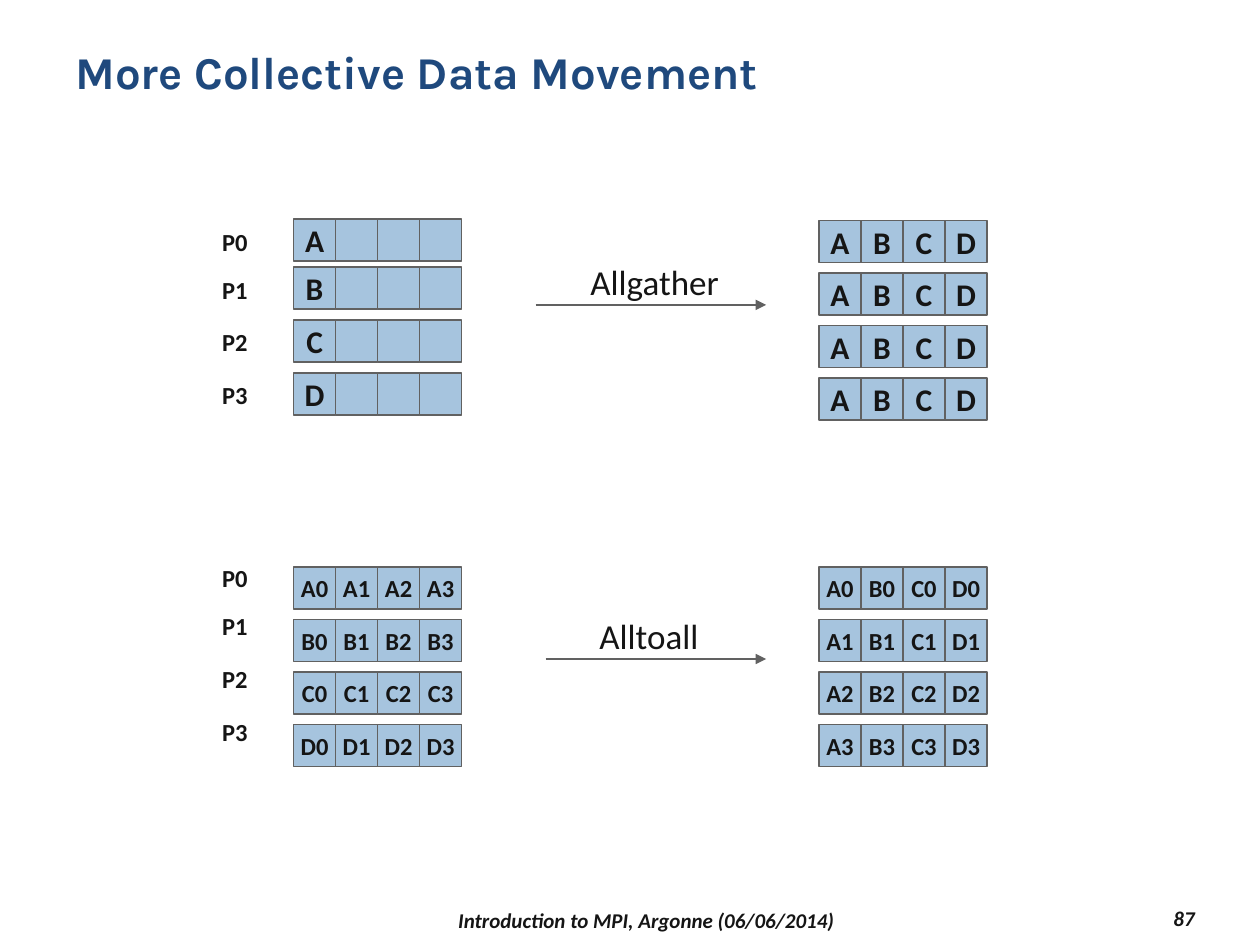
import pptx
import pptx.util
import pptx.dml.color
import pptx.enum.shapes
import pptx.enum.text
import pptx.oxml.ns
import lxml.etree

Inches = pptx.util.Inches
Pt = pptx.util.Pt
RGBColor = pptx.dml.color.RGBColor
ALIGN = pptx.enum.text.PP_ALIGN
ANCHOR = pptx.enum.text.MSO_ANCHOR
AUTO = pptx.enum.text.MSO_AUTO_SIZE

TITLE_BLUE = RGBColor(0x1F, 0x49, 0x7D)
INK = RGBColor(0x15, 0x15, 0x15)
CELL_BLUE = RGBColor(0xA6, 0xC4, 0xDE)
GREY = RGBColor(0x61, 0x61, 0x61)

CELL = 1 / 3
PITCH = 5 / 12
LEFT_X, RIGHT_X, LABEL_X = 2.33, 6.5, 1.66
EVEN_STEPS = [PITCH * i for i in range(4)]
PROCESS_STEPS = [0, 0.38, 0.8, 1.22]


class SlideBuilder:
    body = {"name": "Calibri", "size": Pt(14), "bold": True}

    def __init__(self, prs):
        self.s = prs.slides.add_slide(prs.slide_layouts[6])

    def set_text(self, sp, text, color=INK, align=ALIGN.CENTER,
                 anchor=ANCHOR.TOP, wrap=False, auto=AUTO.NONE, **font):
        tf = sp.text_frame
        frame = {"auto_size": auto, "word_wrap": wrap, "vertical_anchor": anchor}
        for key, value in frame.items():
            setattr(tf, key, value)
        p = tf.paragraphs[0]
        p.alignment = align
        r = p.add_run()
        r.text = text
        for key, value in {**self.body, **font}.items():
            setattr(r.font, key, value)
        r.font.color.rgb = color

    def text(self, x, y, w, h, text, **style):
        sp = self.s.shapes.add_textbox(Inches(x), Inches(y), Inches(w), Inches(h))
        self.set_text(sp, text, **style)

    def cell(self, x, y, text, size):
        sp = self.s.shapes.add_shape(
            pptx.enum.shapes.MSO_SHAPE.RECTANGLE,
            Inches(x), Inches(y), Inches(CELL), Inches(CELL))
        sp.shadow.inherit = False
        sp.fill.solid()
        sp.fill.fore_color.rgb = CELL_BLUE
        sp.line.color.rgb = GREY
        sp.line.width = Pt(1)
        if text:
            self.set_text(sp, text, anchor=ANCHOR.MIDDLE, size=Pt(size))

    def grid(self, x, y, steps, rows, size):
        for step, row in zip(steps, rows):
            for col, text in enumerate(row):
                self.cell(x + CELL * col, y + step, text, size)

    def process_labels(self, y):
        for i, step in enumerate(PROCESS_STEPS):
            self.text(LABEL_X, y + step, 0.41, 0.34, f"P{i}", auto=AUTO.SHAPE_TO_FIT_TEXT)

    def arrow(self, x1, x2, y):
        sp = self.s.shapes.add_connector(
            pptx.enum.shapes.MSO_CONNECTOR.STRAIGHT,
            Inches(x1), Inches(y), Inches(x2), Inches(y))
        sp.line.color.rgb = GREY
        sp.line.width = Pt(1)
        qn = pptx.oxml.ns.qn
        ln = sp.line._get_or_add_ln()
        lxml.etree.SubElement(ln, qn("a:tailEnd"), type="triangle")
        lxml.etree.SubElement(sp._element.spPr, qn("a:effectLst"))

    def operation(self, x, y, w, name):
        self.text(x, y, w, 0.43, name, size=Pt(20), bold=False,
                  auto=AUTO.SHAPE_TO_FIT_TEXT)


def main():
    prs = pptx.Presentation()
    prs.slide_width = Inches(10)
    prs.slide_height = Inches(7.5)
    b = SlideBuilder(prs)

    b.text(0.5, 0.3, 9, 0.87, "More Collective Data Movement", color=TITLE_BLUE,
           align=ALIGN.LEFT, wrap=True, name="Karla", size=Pt(26))

    letters = "ABCD"
    blocks = [[f"{c}{i}" for i in range(4)] for c in letters]
    b.grid(LEFT_X, 1.74, PROCESS_STEPS, [[c, "", "", ""] for c in letters], 18)
    b.grid(RIGHT_X, 1.75, EVEN_STEPS, [letters] * 4, 18)
    b.grid(LEFT_X, 4.5, EVEN_STEPS, blocks, 14)
    b.grid(RIGHT_X, 4.5, EVEN_STEPS, zip(*blocks), 14)

    b.arrow(4.25, 6.08, 2.42)
    b.operation(4.57, 2.02, 1.25, "Allgather")
    b.arrow(4.33, 6.08, 5.23)
    b.operation(4.65, 4.83, 1, "Alltoall")

    for y in (1.75, 4.42):
        b.process_labels(y)

    footer = {"anchor": ANCHOR.MIDDLE, "wrap": True, "size": Pt(12), "italic": True}
    b.text(2.17, 7.17, 5.92, 0.27, "Introduction to MPI, Argonne (06/06/2014)", **footer)
    b.text(8.5, 7.15, 1.08, 0.27, "87", align=ALIGN.RIGHT, **footer)

    prs.save("out.pptx")


if __name__ == "__main__":
    main()
